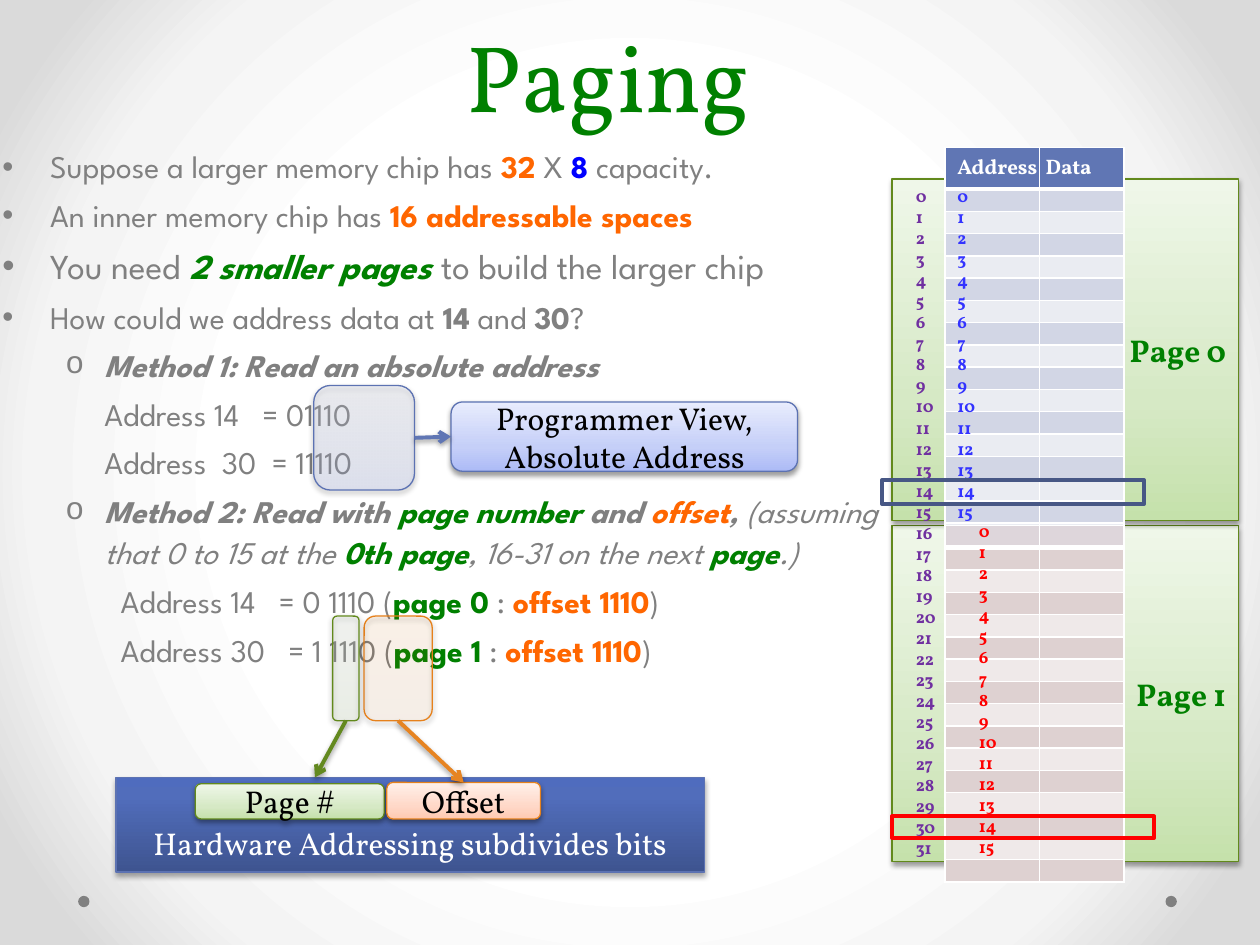
from lxml.etree import SubElement
from pptx import Presentation
from pptx.dml.color import RGBColor
from pptx.enum.shapes import MSO_CONNECTOR, MSO_SHAPE
from pptx.enum.text import MSO_ANCHOR, PP_ALIGN
from pptx.oxml import parse_xml
from pptx.oxml.ns import nsdecls, qn
from pptx.util import Inches, Pt

SERIF, SANS = "Vollkorn", "League Spartan"
COLORS = {
    "gray": "808080", "orange": "FF6600", "blue": "0000FF", "green": "008000",
    "purple": "7030A0", "red": "FF0000", "address": "3333FF", "white": "FFFFFF",
    "black": "000000", "navy": "475785", "header": "6076B4",
    "blue band": "D2D6E5", "blue light": "EAECF2",
    "red band": "DED1D1", "red light": "EFE9E9", "red tint": "9C5252",
    "green line": "62891C", "orange line": "E6811C", "blue line": "5C72B2",
    "green arrow": "63891F", "orange arrow": "E68422", "blue arrow": "6076B4",
}
GRADIENTS = {
    "green": ((0, "C5E1AB"), (35, "D6E9C5"), (100, "EFF7E9")),
    "blue": ((0, "ADBBF6"), (35, "C5CFF8"), (100, "E8ECFD")),
    "orange": ((0, "FFC9B1"), (35, "FFD8C8"), (100, "FFF0EA")),
    "deep orange": ((0, "C26203"), (80, "FB8004"), (100, "FF8002")),
    "deep blue": ((0, "3E5490"), (80, "516DBB"), (100, "4F6CBE")),
    "page": ((50, "FFFFFF"), (76, "F4F4F4"), (92, "DADADA")),
}
# Each paragraph: kind, size, spans of (text, colour, style letters)
BODY = [
    ("bullet", 18, [("Suppose a larger memory chip has ", "gray", ""), ("32", "orange", "b"),
                    (" X ", "gray", ""), ("8", "blue", "b"), (" capacity.", "gray", "")]),
    ("bullet", 18, [("An inner memory chip has ", "gray", ""),
                    ("16 addressable spaces", "orange", "b")]),
    ("bullet", 20, [("You need ", "gray", ""), ("2 smaller pages ", "green", "bi"),
                    ("to build the larger chip", "gray", "")]),
    ("bullet", 18, [("How could we address data at ", "gray", ""), ("14", "gray", "b"),
                    (" and ", "gray", ""), ("30", "gray", "b"), ("?", "gray", "")]),
    ("method", 18, [("Method 1: Read an absolute address", "gray", "bi")]),
    ("absolute", 18, [("Address 14   = 01110", "gray", "")]),
    ("absolute", 18, [("Address  30  = 11110", "gray", "")]),
    ("method", 18, [("Method 2: Read with ", "gray", "bi"), ("page number ", "green", "bi"),
                    ("and ", "gray", "bi"), ("offset", "orange", "bi"), (", ", "gray", "bi"),
                    ("(assuming that 0 to 15 at the ", "gray", "i"), ("0th page", "green", "bi"),
                    (", 16-31 on the next ", "gray", "i"), ("page", "green", "bi"),
                    (".)", "gray", "i")]),
] + [
    ("paged", 18, [(f"Address {address}   = {page} 1110 (", "gray", ""),
                   (f"page {page}", "green", "b"), (" : ", "gray", ""),
                   ("offset 1110", "orange", "b"), (")", "gray", "")])
    for address, page in ((14, 0), (30, 1))
]
# Left margin, first-line indent, bullet sign, bullet font
INDENTS = {
    "bullet": (0.38, -0.38, "•", "Arial"),
    "method": (0.81, -0.31, "o", "Courier New"),
    "absolute": (0.81, 0, None, None),
    "paged": (0.94, 0, None, None),
}


def rgb(name):
    return RGBColor.from_string(COLORS[name])


def gradient_xml(name, direction, opacity=100):
    stops = "".join(
        f'<a:gs pos="{place * 1000}"><a:srgbClr val="{color}">'
        f'<a:alpha val="{opacity * 1000}"/></a:srgbClr></a:gs>'
        for place, color in GRADIENTS[name])
    return (f'<a:gradFill {nsdecls("a")} rotWithShape="1"><a:gsLst>{stops}</a:gsLst>'
            f'{direction}</a:gradFill>')


def paint_background(page):
    direction = ('<a:path path="circle"><a:fillToRect l="50000" t="50000" '
                 'r="50000" b="50000"/></a:path>')
    page.background.fill.solid()
    solid = page.background._cSld.find(".//" + qn("a:solidFill"))
    solid.getparent().replace(solid, parse_xml(gradient_xml("page", direction)))


def add_shadow(item, opacity=38, distance=1.6):
    item._element.spPr.append(parse_xml(
        f'<a:effectLst {nsdecls("a")}><a:outerShdw blurRad="{Pt(3.1)}" dist="{Pt(distance)}" '
        f'dir="5400000" rotWithShape="0"><a:srgbClr val="000000">'
        f'<a:alpha val="{opacity * 1000}"/></a:srgbClr></a:outerShdw></a:effectLst>'))


def add_span(para, text, size, color, style="", font=SERIF):
    span = para.add_run()
    span.text = text
    span.font.name, span.font.size = font, Pt(size)
    span.font.bold, span.font.italic = "b" in style, "i" in style
    span.font.color.rgb = rgb(color)


def add_lines(frame, lines, size, color, style="", align=PP_ALIGN.LEFT):
    for index, line in enumerate(lines):
        para = frame.add_paragraph() if index else frame.paragraphs[0]
        para.alignment = align
        add_span(para, line, size, color, style)


def add_text_box(page, place, lines=(), size=10, color="black", style="", wrap=True):
    box = page.shapes.add_textbox(*map(Inches, place))
    box.text_frame.word_wrap = wrap
    add_lines(box.text_frame, lines, size, color, style)
    return box


def add_shape(page, kind, place, line=None, width=0.75):
    shape = page.shapes.add_shape(kind, *map(Inches, place))
    shape.fill.background()
    if line:
        shape.line.color.rgb, shape.line.width = rgb(line), Pt(width)
    else:
        shape.line.fill.background()
    return shape


def add_panel(page, kind, place, gradient, line, lines=(), color="black", style="",
              align=PP_ALIGN.CENTER, opacity=100):
    """Add a shadowed gradient shape with optional text."""
    panel = add_shape(page, kind, place, line)
    no_fill = panel._element.spPr.find(qn("a:noFill"))
    direction = '<a:lin ang="16200000" scaled="0"/>'
    no_fill.getparent().replace(
        no_fill, parse_xml(gradient_xml(gradient, direction, opacity)))
    add_shadow(panel, *((35, 1.8) if gradient.startswith("deep") else ()))
    panel.text_frame.vertical_anchor = MSO_ANCHOR.MIDDLE
    add_lines(panel.text_frame, lines, 18, color, style, align)
    return panel


def add_frame(page, place, line):
    add_shape(page, MSO_SHAPE.RECTANGLE, place, line, 2.25).shadow.inherit = False


def add_dot(page, left):
    dot = add_shape(page, MSO_SHAPE.OVAL, (left, 7.11, 0.09, 0.09))
    dot.fill.solid()
    dot.fill.fore_color.rgb = rgb("gray")
    dot.shadow.inherit = False


def add_arrow(page, start, end, color, source, side, target=None, target_side=0):
    arrow = page.shapes.add_connector(MSO_CONNECTOR.STRAIGHT, *map(Inches, start + end))
    arrow.begin_connect(source, side)
    if target is not None:
        arrow.end_connect(target, target_side)
    arrow.line.color.rgb, arrow.line.width = rgb(color), Pt(2.25)
    SubElement(arrow.line._get_or_add_ln(), qn("a:tailEnd"), type="arrow")
    add_shadow(arrow)


def style_cell(cell, color, bottom):
    cell.margin_left = cell.margin_right = cell.margin_top = cell.margin_bottom = 0
    SubElement(cell.text_frame.paragraphs[0]._p, qn("a:endParaRPr"), sz="500")
    properties = cell._tc.get_or_add_tcPr()
    for side, width in (("L", 1), ("R", 1), ("T", 1), ("B", bottom)):
        border = SubElement(properties, qn(f"a:ln{side}"), w=str(Pt(width)))
        SubElement(SubElement(border, qn("a:solidFill")), qn("a:srgbClr"), val=COLORS["white"])
    cell.fill.solid()
    cell.fill.fore_color.rgb = rgb(color)
    if color == "red tint":
        SubElement(properties.find(qn("a:solidFill"))[0], qn("a:alpha"), val="14000")


def add_memory_table(page, top, heights, header, bands):
    table = page.shapes.add_table(len(heights), 2, Inches(7.5), Inches(top), Inches(1.42),
                                  Inches(sum(heights))).table
    table.first_row = table.horz_banding = False
    for column, width in zip(table.columns, (0.75, 0.67)):
        column.width = Inches(width)
    for index, height in enumerate(heights):
        table.rows[index].height = Inches(height)
        color = bands[(index - 1) % 2] if index else header
        for cell in table.rows[index].cells:
            style_cell(cell, color, 1 if index else 3)


def add_body(page):
    frame = add_text_box(page, (-0.08, 1.09, 7.24, 5.66)).text_frame
    for index, (kind, size, spans) in enumerate(BODY):
        para = frame.add_paragraph() if index else frame.paragraphs[0]
        para.line_spacing, para.space_before = 1.1, Pt(4)
        margin, indent, sign, font = INDENTS[kind]
        properties = para._p.get_or_add_pPr()
        properties.set("marL", str(Inches(margin)))
        properties.set("indent", str(Inches(indent)))
        if sign:
            SubElement(properties, qn("a:buFont"), typeface=font)
            SubElement(properties, qn("a:buChar"), char=sign)
        for text, color, style in spans:
            add_span(para, text, size, color, style, SANS)


def main():
    deck = Presentation()
    deck.slide_width, deck.slide_height = Inches(10), Inches(7.5)
    page = deck.slides.add_slide(deck.slide_layouts[6])
    square, rounded = MSO_SHAPE.RECTANGLE, MSO_SHAPE.ROUNDED_RECTANGLE
    paint_background(page)
    for left in (9.25, 0.62):
        add_dot(page, left)

    hardware = add_panel(page, square, (0.92, 6.17, 4.67, 0.75), "deep blue", "blue line",
                         ["Hardware Addressing subdivides bits"], "white")
    hardware.text_frame.vertical_anchor = MSO_ANCHOR.BOTTOM
    hardware.text_frame.margin_bottom = Inches(0.08)
    for label, top, height in (("Page 1", 4.17, 2.67), ("Page 0", 1.42, 2.71)):
        add_panel(page, square, (7.08, top, 2.75, height), "green", "green line",
                  [label], "green", "b", PP_ALIGN.RIGHT)

    title = add_text_box(page, (0.33, 0.17, 9, 0.92), ["Paging"], 54, "green").text_frame
    title.vertical_anchor = MSO_ANCHOR.BOTTOM
    title.paragraphs[0].alignment = PP_ALIGN.CENTER
    title.paragraphs[0].line_spacing = Pt(58)
    add_body(page)

    row = 0.177
    add_memory_table(page, 1.17, [0.33] + [row] * 16, "header", ("blue band", "blue light"))
    add_memory_table(page, 4.17, [row] * 16, "red tint", ("red band", "red light"))
    add_text_box(page, (7.5, 1.17, 1.33, 0.3), ["Address  Data"], 12, "white", "b", wrap=False)
    for left, top, height, count, color in ((7.17, 1.42, 5.49, 32, "purple"),
                                            (7.67, 4.08, 2.79, 16, "red"),
                                            (7.5, 1.42, 2.79, 16, "address")):
        add_text_box(page, (left, top, 0.42, height), map(str, range(count)), 10, color, "b")
    add_frame(page, (7, 3.81, 2.08, 0.19), "navy")
    add_frame(page, (7.08, 6.48, 2.08, 0.17), "red")

    offset_bits = add_panel(page, rounded, (2.89, 4.89, 0.54, 0.83), "deep orange",
                            "orange line", opacity=7)
    address_bits = add_panel(page, rounded, (2.49, 3.06, 0.8, 0.83), "blue", "blue line",
                             opacity=22)
    page_bits = add_panel(page, rounded, (2.64, 4.89, 0.21, 0.83), "green", "green line",
                          opacity=16)
    add_panel(page, rounded, (1.55, 6.22, 1.5, 0.28), "green", "green line", ["Page #"])
    offset = add_panel(page, rounded, (3.07, 6.21, 1.22, 0.29), "orange", "orange line",
                       ["Offset"])
    view = add_panel(page, rounded, (3.58, 3.19, 2.75, 0.55), "blue", "blue line",
                     ["Programmer View,", "Absolute Address"])

    add_arrow(page, (2.74, 5.72), (2.5, 6.17), "green arrow", page_bits, 2)
    add_arrow(page, (3.17, 5.72), (3.68, 6.21), "orange arrow", offset_bits, 2, offset, 0)
    add_arrow(page, (3.28, 3.47), (3.58, 3.47), "blue arrow", address_bits, 3, view, 1)
    deck.save("out.pptx")


if __name__ == "__main__":
    main()
